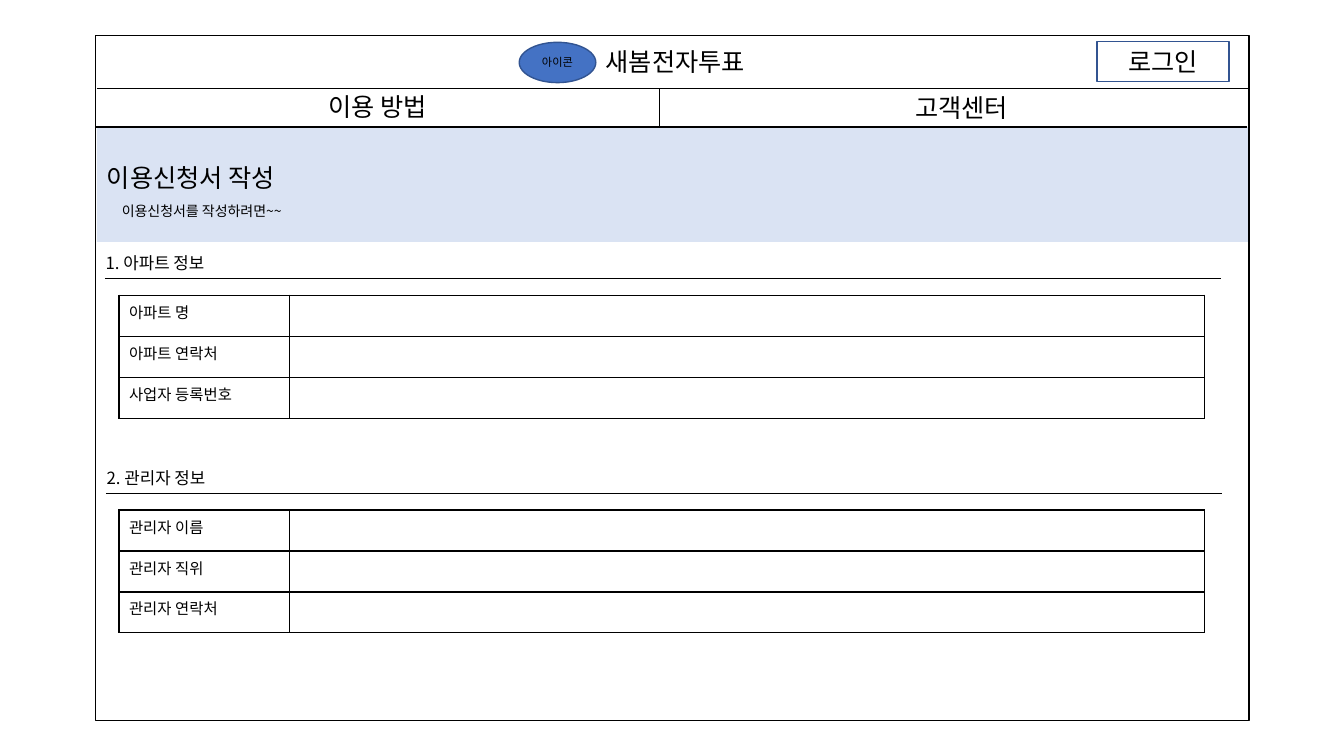
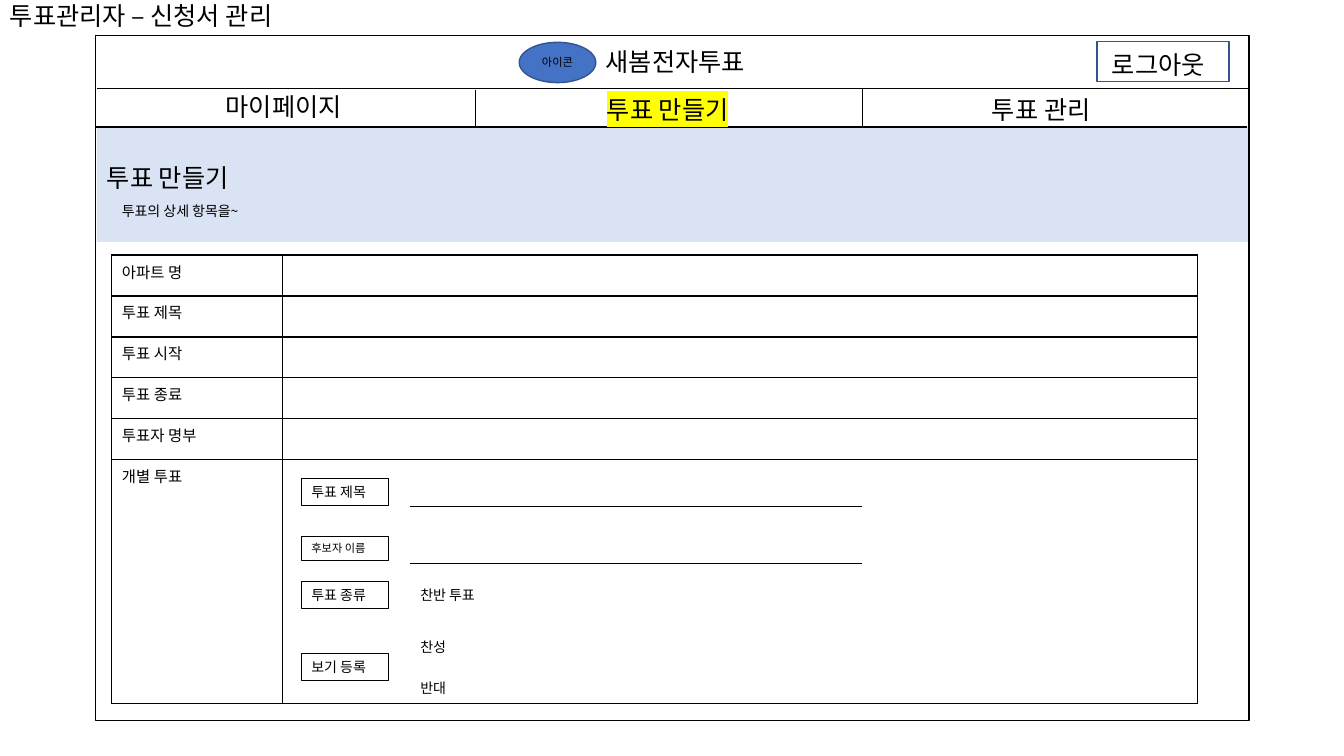
import pptx
import pptx.dml.color
import pptx.enum.shapes
import pptx.enum.text
import pptx.oxml
import pptx.oxml.ns
import pptx.util

Inches = pptx.util.Inches
Pt = pptx.util.Pt
qn = pptx.oxml.ns.qn
SHAPES = pptx.enum.shapes.MSO_SHAPE
ALIGN = pptx.enum.text.PP_ALIGN
ANCHOR = pptx.enum.text.MSO_ANCHOR

COLORS = {
    "ink": "000000",
    "band": "DAE3F3",
    "icon": "4472C4",
    "outline": "325491",
    "highlight": "FFFF00",
}
FONT = "Noto Sans CJK KR"
NAMESPACE = 'xmlns:a="http://schemas.openxmlformats.org/drawingml/2006/main"'
ROW_HEIGHT = 1.22 / 3
TABLE_COLUMNS = (1.69, 9.08)
FIELD_LEFT, FIELD_WIDTH = 2.99, 0.86
ENTRY_LEFT, ENTRY_RIGHT = 4.07, 8.55


def rgb(name):
    return pptx.dml.color.RGBColor.from_string(COLORS[name])


def element(xml):
    return pptx.oxml.parse_xml(xml)


class Wireframe:
    def __init__(self, presentation):
        self.presentation = presentation
        self.slide = None

    def new_slide(self):
        layout = self.presentation.slide_layouts[5]
        self.slide = self.presentation.slides.add_slide(layout)

    def format_font(self, paragraph, size):
        values = {"name": FONT, "size": Pt(size), "bold": False}
        for target in [run.font for run in paragraph.runs] or [paragraph.font]:
            for attribute, value in values.items():
                setattr(target, attribute, value)
            target.color.rgb = rgb("ink")
        for run in paragraph.runs:
            latin = run.font._element.find(qn("a:latin"))
            latin.addnext(element(f'<a:ea {NAMESPACE} typeface="{FONT}"/>'))

    def fill_text(self, shape, text, size, align=ALIGN.LEFT, anchor=ANCHOR.TOP):
        frame = shape.text_frame
        values = {
            "text": text,
            "word_wrap": True,
            "auto_size": pptx.enum.text.MSO_AUTO_SIZE.NONE,
            "vertical_anchor": anchor,
            "margin_left": Inches(0.1),
            "margin_right": Inches(0.1),
            "margin_top": Inches(0.05),
            "margin_bottom": Inches(0.05),
        }
        for attribute, value in values.items():
            setattr(frame, attribute, value)
        paragraph = frame.paragraphs[0]
        paragraph.alignment = align
        self.format_font(paragraph, size)

    def text(self, left, top, width, height, text, size=18, highlight=False):
        box = self.slide.shapes.add_textbox(*map(Inches, (left, top, width, height)))
        self.fill_text(box, text, size)
        if highlight:
            latin = box.text_frame.paragraphs[0].runs[0].font._element.find(qn("a:latin"))
            latin.addprevious(element(
                f'<a:highlight {NAMESPACE}><a:srgbClr val="{COLORS["highlight"]}"/></a:highlight>'
            ))

    def shape(self, left, top, width, height, fill=None, line=None, weight=1,
              kind=SHAPES.RECTANGLE):
        shape = self.slide.shapes.add_shape(kind, *map(Inches, (left, top, width, height)))
        shape.shadow.inherit = False
        if fill:
            shape.fill.solid()
            shape.fill.fore_color.rgb = rgb(fill)
        else:
            shape.fill.background()
        if line:
            shape.line.color.rgb = rgb(line)
            shape.line.width = Pt(weight)
        else:
            shape.line.fill.background()
        return shape

    def line(self, left, top, right, bottom, weight=0.75):
        connector = self.slide.shapes.add_connector(
            pptx.enum.shapes.MSO_CONNECTOR.STRAIGHT,
            *map(Inches, (left, top, right, bottom)))
        connector.line.color.rgb = rgb("ink")
        connector.line.width = Pt(weight)
        connector._element.spPr.append(element(f"<a:effectLst {NAMESPACE}/>"))

    def title(self, band, text):
        title = self.slide.shapes.title
        band._element.addnext(title._element)
        place = {"left": 0.96, "top": 1.56, "width": 2.7, "height": 0.4}
        for attribute, value in place.items():
            setattr(title, attribute, Inches(value))
        self.fill_text(title, text, 18)

    def header(self, title, subtitle, button, tabs, dividers):
        band = self.shape(0.96, 1.26, 11.42, 1.14, fill="band")
        self.title(band, title)
        self.text(1.11, 1.96, 2.7, 0.27, subtitle, 10)
        self.shape(0.95, 0.35, 11.44, 6.8, line="ink")
        icon = self.shape(5.15, 0.42, 0.76, 0.4, "icon", "outline", kind=SHAPES.OVAL)
        self.fill_text(icon, "아이콘", 8, ALIGN.CENTER, ANCHOR.MIDDLE)
        self.text(5.91, 0.41, 1.85, 0.4, "새봄전자투표")
        self.shape(10.88, 0.41, 1.31, 0.4, line="outline")
        self.text(*button)
        self.line(0.96, 0.88, 12.38, 0.88)
        self.line(0.95, 1.26, 12.37, 1.26)
        for left, top in dividers:
            self.line(left, top, left, top + 0.38)
        for left, top, width, label, highlight in tabs:
            self.text(left, top, width, 0.4, label, highlight=highlight)

    def table(self, left, top, labels, last_height=ROW_HEIGHT):
        heights = [ROW_HEIGHT] * (len(labels) - 1) + [last_height]
        table = self.slide.shapes.add_table(
            len(labels), len(TABLE_COLUMNS),
            *map(Inches, (left, top, sum(TABLE_COLUMNS), sum(heights)))).table
        table.first_row = table.horz_banding = False
        for column, width in zip(table.columns, TABLE_COLUMNS):
            column.width = Inches(width)
        for row, height, label in zip(table.rows, heights, labels):
            row.height = Inches(height)
            for cell, text in zip(row.cells, (label, "")):
                if text:
                    cell.text = text
                self.format_font(cell.text_frame.paragraphs[0], 11)
                cell.fill.background()
                self.borders(cell)

    def borders(self, cell):
        properties = cell._tc.get_or_add_tcPr()
        for index, side in enumerate(("lnL", "lnR", "lnT", "lnB")):
            properties.insert(index, element(
                f'<a:{side} {NAMESPACE} w="{Pt(1)}"><a:solidFill>'
                f'<a:srgbClr val="{COLORS["ink"]}"/></a:solidFill></a:{side}>'
            ))

    def section(self, left, top, heading, labels):
        self.text(left, top, 1.3, 0.3, heading, 12)
        self.line(left + 0.09, top + 0.3, left + 11.16, top + 0.3, 0.5)
        self.table(1.18, top + 0.47, labels)

    def field(self, top, label, height=0.27, size=10):
        box = self.shape(FIELD_LEFT, top, FIELD_WIDTH, height, line="ink", weight=0.75)
        self.fill_text(box, label, size)


def application_slide(wireframe):
    wireframe.new_slide()
    wireframe.header(
        "이용신청서 작성", "이용신청서를 작성하려면~~",
        (11.09, 0.41, 1.02, 0.4, "로그인"),
        [(3.16, 0.86, 1.71, "이용 방법", False), (8.98, 0.87, 1.24, "고객센터", False)],
        [(6.54, 0.88)])
    wireframe.section(0.95, 2.46, "1. 아파트 정보",
                      ["아파트 명", "아파트 연락처", "사업자 등록번호"])
    wireframe.section(0.96, 4.59, "2. 관리자 정보",
                      ["관리자 이름", "관리자 직위", "관리자 연락처"])


def vote_slide(wireframe):
    wireframe.new_slide()
    wireframe.header(
        "투표 만들기", "투표의 상세 항목을~",
        (10.93, 0.44, 1.26, 0.4, "로그아웃"),
        [(2.14, 0.86, 1.71, "마이페이지", False),
         (5.92, 0.89, 2.02, "투표 만들기", True),
         (9.74, 0.89, 1.71, "투표 관리", False)],
        [(4.72, 0.89), (8.55, 0.88)])
    wireframe.text(0, -0.05, 3.46, 0.4, "투표관리자 – 신청서 관리")
    wireframe.table(1.11, 2.53, ["아파트 명", "투표 제목", "투표 시작", "투표 종료",
                                 "투표자 명부", "개별 투표"], 2.42)
    for top, label in ((4.75, "투표 제목"), (5.77, "투표 종류"), (6.48, "보기 등록")):
        wireframe.field(top, label)
    wireframe.field(5.32, "후보자 이름", 0.24, 8)
    for top, width, label in ((5.77, 0.86, "찬반 투표"), (6.29, 0.54, "찬성"),
                              (6.69, 0.54, "반대")):
        wireframe.text(ENTRY_LEFT, top, width, 0.27, label, 10)
    for top in (5.02, 5.59):
        wireframe.line(ENTRY_LEFT, top, ENTRY_RIGHT, top, 0.5)


def main():
    presentation = pptx.Presentation()
    presentation.slide_width = Inches(13.33)
    presentation.slide_height = Inches(7.5)
    wireframe = Wireframe(presentation)
    application_slide(wireframe)
    vote_slide(wireframe)
    presentation.save("out.pptx")


if __name__ == "__main__":
    main()
